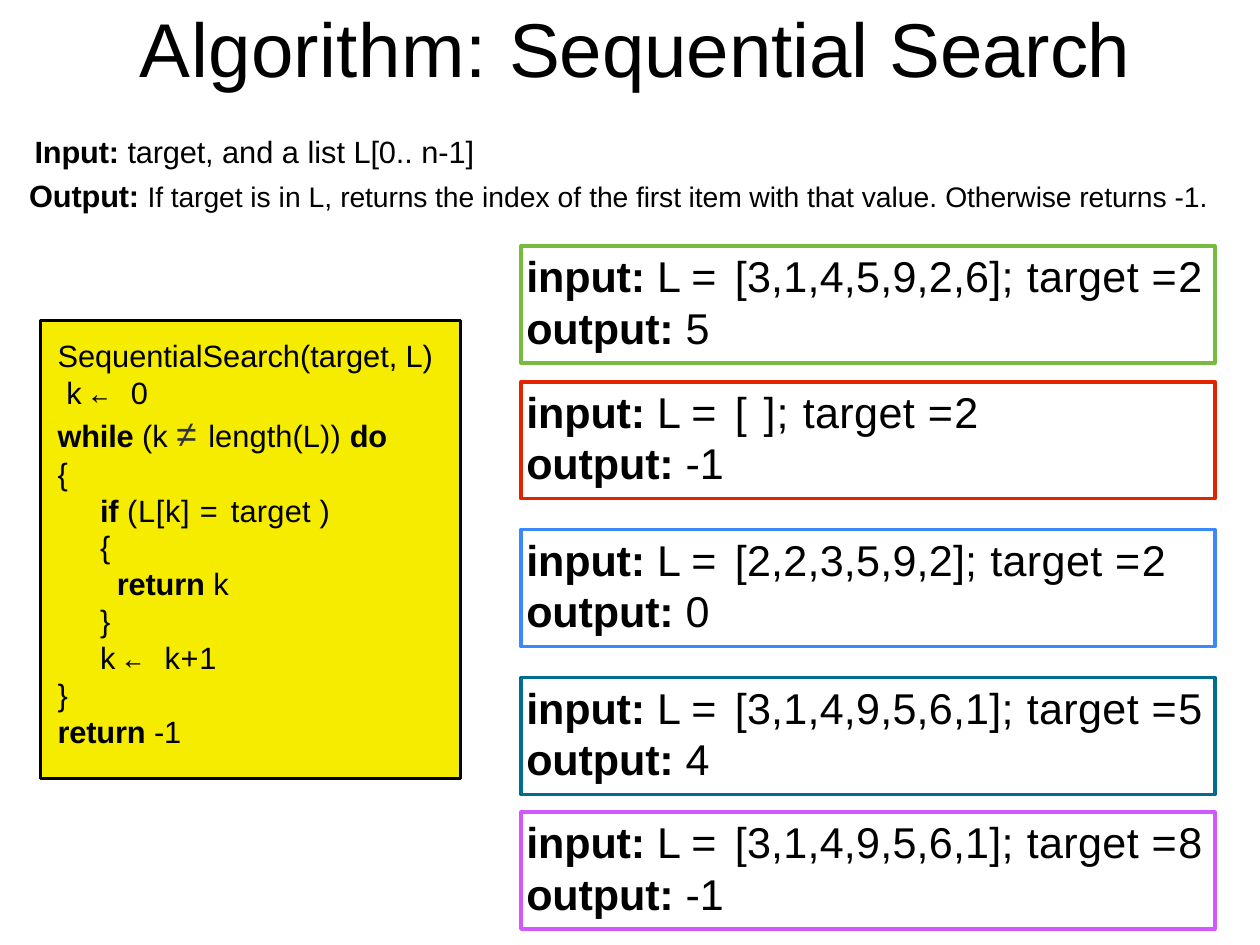
import pptx
import pptx.util
import pptx.dml.color
import pptx.enum.shapes
import pptx.enum.text

# Content: a run is (text, tracking in pt, style); a line is (indent px, runs)
TITLE = [(1, [("Algorithm: ", 0.3, "title"), ("Sequential ", -0.1, "title"),
              ("Search", -0.2, "title")])]
SUMMARY = [
    (7, [("Input: ", -0.1, "bold"), ("target, ", -0.1, "body"), ("and a list ", 0, "body"),
         ("L[0.. ", -0.1, "body"), ("n-1]", 0, "body")]),
    (1, [("Output: ", -0.1, "bold"), ("If target ", -0.1, "small"), ("is in L, ", 0, "small"),
         ("returns the ", -0.1, "small"), ("index of ", 0, "small"),
         ("the first item with that ", -0.1, "small"), ("value. ", 0, "small"),
         ("Otherwise returns ", -0.1, "small"), ("-1.", 0, "small")]),
]
PSEUDOCODE = [
    (19, [("SequentialSearch(target,", 0, "body"), (" L)", -0.1, "body")]),
    (29, [("k ", 0, "body"), ("← ", 1.5, "arrow"), ("0", -0.1, "body")]),
    (19, [("while ", -0.1, "bold"), ("(k ", 0, "body"), ("≠ ", 0.6, "unequal"),
          ("length(L)) ", 0.1, "body"), ("do", -0.1, "bold")]),
    (19, [("{", -0.1, "body")]),
    (67, [("if ", -0.1, "bold"), ("(L[k] ", 0.6, "body"), ("= ", 1.9, "body"),
          ("target ", 0.2, "body"), (")", 0, "body")]),
    (67, [("{", -0.1, "body")]),
    (86, [("return ", -0.1, "bold"), ("k", 0, "body")]),
    (67, [("}", -0.1, "body")]),
    (67, [("k ", 0, "body"), ("← ", 1.5, "arrow"), ("k+1", 0.6, "body")]),
    (19, [("}", -0.1, "body")]),
    (19, [("return ", -0.1, "bold"), ("-1", -0.1, "body")]),
]
# Top px, line colour, list pieces with tracking, target, result
CASES = [
    (278, "green", [("[3,1,4,5,9,2,6]; ", 0.2)], "2", "5"),
    (431, "red", [("[ ", 1.9), ("]; ", 0.9)], "2", "-1"),
    (598, "blue", [("[2,2,3,5,9,2]; ", 0.2)], "2", "0"),
    (765, "teal", [("[3,1,4,9,5,6,1]; ", 0.2)], "5", "4"),
    (917, "violet", [("[3,1,4,9,5,6,1]; ", 0.2)], "8", "-1"),
]
CASE_LEFT, CASE_WIDTH, CASE_HEIGHT = 588, 783, 132

# Style: (size pt, bold, font, colour)
THEME = {
    "colours": {"ink": "000000", "grey": "333333", "yellow": "F5EC00", "green": "77BB41",
                "red": "E32400", "blue": "3A88FE", "teal": "006D8F", "violet": "D357FE"},
    "styles": {
        "title": (62, False, "Arial", "ink"),
        "body": (25, False, "Arial", "ink"),
        "bold": (25, True, "Arial", "ink"),
        "small": (23, False, "Arial", "ink"),
        "arrow": (25, False, "Noto Sans Mono", "ink"),
        "unequal": (30, False, "Arial", "grey"),
        "case": (35, False, "Arial", "ink"),
        "case bold": (35, True, "Arial", "ink"),
    },
}
PX = 9144  # 100 px to the inch


def px(*lengths):
    return [pptx.util.Emu(length * PX) for length in lengths]


def colour(name):
    return pptx.dml.color.RGBColor.from_string(THEME["colours"][name])


def write(box, lines, inset_top):
    frame = box.text_frame
    frame.word_wrap = True
    frame.vertical_anchor = pptx.enum.text.MSO_ANCHOR.TOP
    frame.margin_left = frame.margin_right = frame.margin_bottom = 0
    frame.margin_top = px(inset_top)[0]
    for number, (indent, runs) in enumerate(lines):
        line = frame.add_paragraph() if number else frame.paragraphs[0]
        line.alignment = pptx.enum.text.PP_ALIGN.LEFT
        properties = line._p.get_or_add_pPr()
        properties.set("marL", str(indent * PX))
        properties.set("indent", "0")
        for text, tracking, style in runs:
            run = line.add_run()
            run.text = text
            size, bold, face, ink = THEME["styles"][style]
            run.font.size = pptx.util.Pt(size)
            run.font.bold = bold
            run.font.name = face
            run.font.color.rgb = colour(ink)
            run._r.get_or_add_rPr().set("spc", str(round(tracking * 100)))
    return frame.paragraphs


def add_panel(slide, place, line, weight, fill=None):
    panel = slide.shapes.add_shape(pptx.enum.shapes.MSO_SHAPE.RECTANGLE, *px(*place))
    panel.shadow.inherit = False
    if fill:
        panel.fill.solid()
        panel.fill.fore_color.rgb = colour(fill)
    else:
        panel.fill.background()
    panel.line.color.rgb = colour(line)
    panel.line.width = pptx.util.Pt(weight)
    return panel


def main():
    deck = pptx.Presentation()
    deck.slide_width, deck.slide_height = px(1422, 1067)
    slide = deck.slides.add_slide(deck.slide_layouts[6])

    # Heading and problem statement
    write(slide.shapes.add_textbox(*px(157, 1, 1121, 106)), TITLE, 1)
    summary = write(slide.shapes.add_textbox(*px(32, 140, 1342, 103)), SUMMARY, 10)
    summary[1].space_before = pptx.util.Pt(6)

    # Pseudocode; the line with the tall sign has a fixed height
    code_panel = add_panel(slide, (46, 362, 474, 517), "ink", 2, "yellow")
    code_lines = write(code_panel, PSEUDOCODE, 18)
    code_lines[2].line_spacing = pptx.util.Pt(35.9)

    # Worked cases
    for top, line, pieces, target, result in CASES:
        case = [
            (6, [("input: ", -0.1, "case bold"), ("L ", -0.1, "case"), ("= ", 2.6, "case"),
                 *[(text, tracking, "case") for text, tracking in pieces],
                 ("target ", 0.3, "case"), ("=" + target, 1.3, "case")]),
            (6, [("output: ", -0.1, "case bold"), (result, -0.1, "case")]),
        ]
        write(add_panel(slide, (CASE_LEFT, top, CASE_WIDTH, CASE_HEIGHT), line, 3), case, 4)

    deck.save("out.pptx")


if __name__ == "__main__":
    main()
